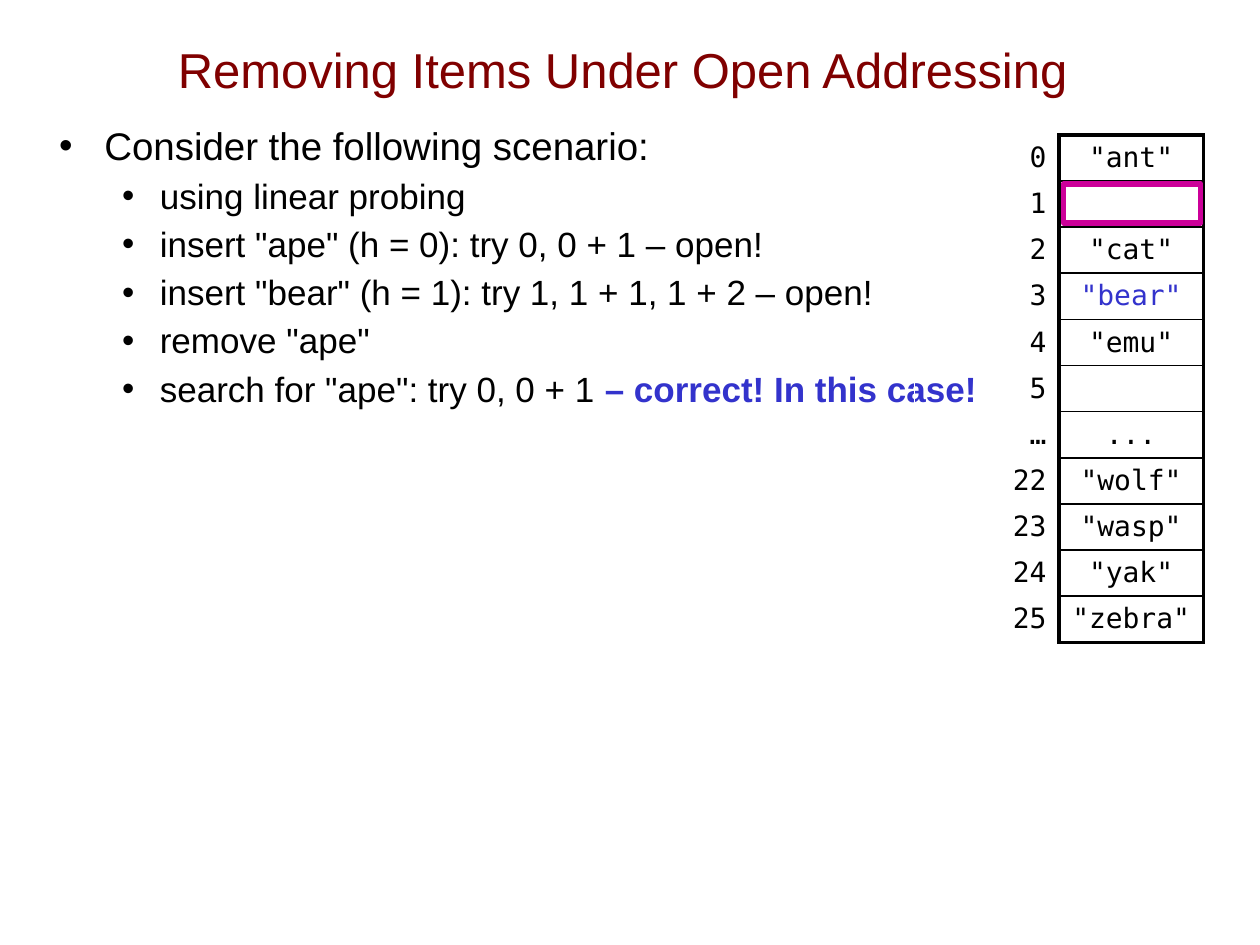
import pptx
import pptx.util
import pptx.dml.color
import pptx.enum.text
import pptx.enum.shapes
import pptx.oxml
import pptx.oxml.ns

ALIGN = pptx.enum.text.PP_ALIGN
ANCHOR = pptx.enum.text.MSO_ANCHOR
NS = pptx.oxml.ns.nsdecls("a")


def paint(code):
    """Turn a hex string into a colour."""
    return pptx.dml.color.RGBColor.from_string(code)


def write(para, text, size=20, face="Arial", color="000000", bold=False, align=None):
    """Add a formatted run of text to a paragraph."""
    if align is not None:
        para.alignment = align
    run = para.add_run()
    run.text = text
    run.font.size = pptx.util.Pt(size)
    run.font.name = face
    run.font.bold = bold
    run.font.color.rgb = paint(color)


class Deck:
    """Hold the style and the current slide, on a grid of 100 columns by 75 rows."""

    ink, blue, red, pink = "000000", "3333CC", "800000", "CC0099"
    mono = "DejaVu Sans Mono"

    def __init__(self):
        """Start a file with one title-only slide."""
        self.file = pptx.Presentation()
        self.file.slide_width = pptx.util.Inches(10)
        self.file.slide_height = pptx.util.Inches(7.5)
        self.slide = self.file.slides.add_slide(self.file.slide_layouts[5])

    def span(self, *cells):
        """Turn grid counts into lengths."""
        return [round(self.file.slide_width * cell / 100) for cell in cells]

    def title(self, text, box):
        """Place and fill the title."""
        shape = self.slide.shapes.title
        shape.left, shape.top, shape.width, shape.height = self.span(*box)
        shape.text_frame.vertical_anchor = ANCHOR.MIDDLE
        write(shape.text_frame.paragraphs[0], text, size=28, color=self.red,
              align=ALIGN.CENTER)

    def list(self, head, items, box):
        """Add a bulleted heading with bulleted items, each a plain and a bold part."""
        frame = self.slide.shapes.add_textbox(*self.span(*box)).text_frame
        frame.word_wrap = True
        first = frame.paragraphs[0]
        self.dot(first, 3.6, 3.6)
        write(first, head, size=22)
        for plain, strong in items:
            para = frame.add_paragraph()
            para.level = 1
            para.line_spacing = 0.9
            para.space_before = pptx.util.Pt(6)
            self.dot(para, 8, 3)
            write(para, plain)
            if strong:
                write(para, strong, color=self.blue, bold=True)

    def dot(self, para, left, hang):
        """Give a paragraph a hanging bullet."""
        props = para._p.get_or_add_pPr()
        left, hang = self.span(left, hang)
        props.set("marL", str(left))
        props.set("indent", str(-hang))
        for part in (f'<a:buClr {NS}><a:srgbClr val="{self.ink}"/></a:buClr>',
                     f'<a:buFont {NS} typeface="Arial"/>',
                     f'<a:buChar {NS} char="•"/>'):
            props.append(pptx.oxml.parse_xml(part))

    def edge(self, cell, **sides):
        """Draw cell borders of the given widths in points."""
        props = cell._tc.get_or_add_tcPr()
        for spot, side in enumerate(key for key in "LRTB" if key in sides):
            width = pptx.util.Pt(sides[side])
            props.insert(spot, pptx.oxml.parse_xml(
                f'<a:ln{side} {NS} w="{width}"><a:solidFill>'
                f'<a:srgbClr val="{self.ink}"/></a:solidFill></a:ln{side}>'))

    def table(self, rows, box, marks):
        """Add a table of indices and boxed values, with marked values in blue."""
        grid = self.slide.shapes.add_table(len(rows), 2, *self.span(*box)).table
        grid.first_row = grid.horz_banding = False
        thin, thick = 1, 2.25
        last = len(rows) - 1
        for row, pair in enumerate(rows):
            for col, text in enumerate(pair):
                cell = grid.cell(row, col)
                cell.fill.background()
                cell.margin_top = cell.margin_bottom = 0
                cell.vertical_anchor = ANCHOR.MIDDLE
                if text:
                    write(cell.text_frame.paragraphs[0], text, size=16, face=self.mono,
                          color=self.blue if text in marks else self.ink,
                          align=ALIGN.CENTER if col else ALIGN.RIGHT)
            self.edge(grid.cell(row, 0), R=thick)
            self.edge(grid.cell(row, 1), L=thick, R=thick,
                      T=thin if row else thick, B=thick if row == last else thin)

    def frame(self, box):
        """Add an unfilled outline."""
        shape = self.slide.shapes.add_shape(
            pptx.enum.shapes.MSO_SHAPE.RECTANGLE, *self.span(*box))
        shape.shadow.inherit = False
        shape.fill.background()
        shape.line.color.rgb = paint(self.pink)
        shape.line.width = pptx.util.Pt(3)


def main():
    """Build the slide and save it."""
    deck = Deck()
    deck.title("Removing Items Under Open Addressing", (6.4, 0.8, 86, 9.3))
    deck.list("Consider the following scenario:", [
        ("using linear probing", ""),
        ('insert "ape" (h = 0): try 0, 0 + 1 – open!', ""),
        ('insert "bear" (h = 1): try 1, 1 + 1, 1 + 2 – open!', ""),
        ('remove "ape"', ""),
        ('search for "ape": try 0, 0 + 1', " – correct! In this case!"),
    ], (3.7, 9.2, 92.5, 61.4))
    deck.table([
        ("0", '"ant"'), ("1", ""), ("2", '"cat"'), ("3", '"bear"'),
        ("4", '"emu"'), ("5", ""), ("…", "..."), ("22", '"wolf"'),
        ("23", '"wasp"'), ("24", '"yak"'), ("25", '"zebra"'),
    ], (72.6, 10.7, 22.9, 40.3), marks=['"bear"'])
    deck.frame((84.4, 14.6, 10.9, 3.1))
    deck.file.save("out.pptx")


if __name__ == "__main__":
    main()
